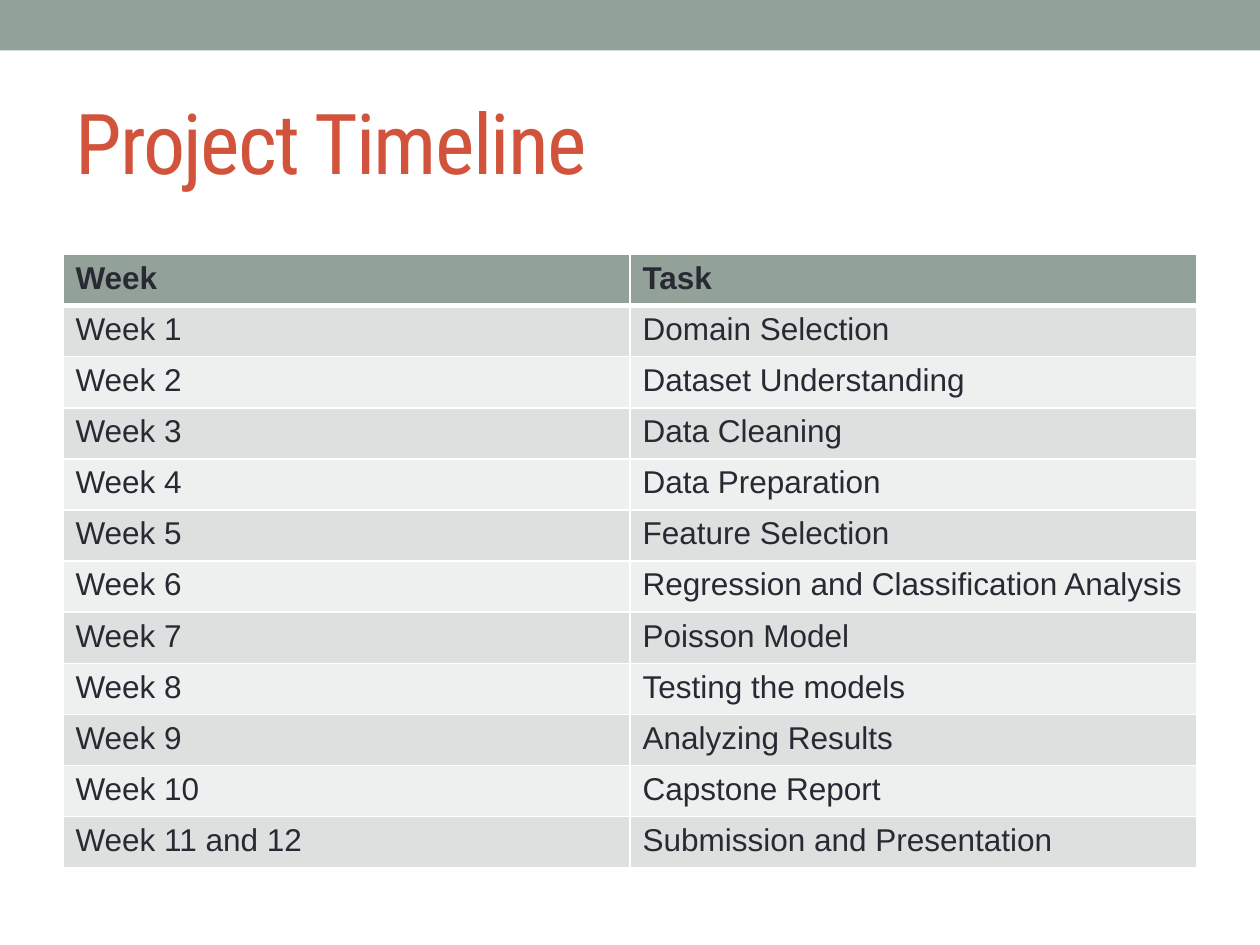
from dataclasses import dataclass

from lxml import etree
from pptx import Presentation
from pptx.dml.color import RGBColor
from pptx.enum.shapes import MSO_SHAPE
from pptx.enum.text import MSO_ANCHOR, PP_ALIGN
from pptx.oxml.ns import qn
from pptx.util import Inches, Pt

RECT = MSO_SHAPE.RECTANGLE
MIDDLE = MSO_ANCHOR.MIDDLE
LEFT = PP_ALIGN.LEFT
TITLE_ONLY = 5


@dataclass(frozen=True)
class Theme:
    """Colours, fonts and type sizes of the slide."""
    sage: str = "93A299"
    rust: str = "D2533C"
    ink: str = "292934"
    white: str = "FFFFFF"
    bands: tuple = ("DCE0DE", "EEF0EF")
    head: str = "Roboto Condensed"
    body: str = "Arial"
    big: int = 48
    text: int = 18
    thin: int = 1
    thick: int = 3


THEME = Theme()
TASKS = [
    "Domain Selection",
    "Dataset Understanding",
    "Data Cleaning",
    "Data Preparation",
    "Feature Selection",
    "Regression and Classification Analysis",
    "Poisson Model",
    "Testing the models",
    "Analyzing Results",
    "Capstone Report",
    "Submission and Presentation",
]
WEEKS = [f"Week {n}" for n in range(1, len(TASKS))] + ["Week 11 and 12"]
ROWS = [("Week", "Task"), *zip(WEEKS, TASKS)]


def style(font, face, size, color, bold=False):
    """Set the face, size, colour and weight of a font."""
    font.name = face
    font.size = Pt(size)
    font.bold = bold
    font.color.rgb = RGBColor.from_string(color)


def add_band(slide, box):
    """Draw the plain band along the top edge."""
    band = slide.shapes.add_shape(RECT, *box)
    band.shadow.inherit = False
    band.fill.solid()
    band.fill.fore_color.rgb = RGBColor.from_string(THEME.sage)
    band.line.fill.background()


def add_title(slide, box, text):
    """Place and format the title placeholder."""
    title = slide.shapes.title
    title.left, title.top, title.width, title.height = box
    frame = title.text_frame
    frame.text = text
    frame.word_wrap = True
    frame.vertical_anchor = MIDDLE
    para = frame.paragraphs[0]
    para.alignment = LEFT
    run = para.runs[0]
    style(run.font, THEME.head, THEME.big, THEME.rust)
    run.font._element.set("spc", "-100")


def add_edge(cell, side, width):
    """Add a white border to one side of a cell."""
    props = cell._tc.get_or_add_tcPr()
    line = etree.SubElement(props, qn(f"a:ln{side}"), w=str(Pt(width)))
    fill = etree.SubElement(line, qn("a:solidFill"))
    etree.SubElement(fill, qn("a:srgbClr"), val=THEME.white)


def fill_cell(cell, text, row):
    """Write and format one cell by its row number."""
    heavy = {0: "B", 1: "T"}.get(row)
    for side in "LRTB":
        add_edge(cell, side, THEME.thick if side == heavy else THEME.thin)
    color = THEME.bands[(row - 1) % 2] if row else THEME.sage
    cell.fill.solid()
    cell.fill.fore_color.rgb = RGBColor.from_string(color)
    cell.text_frame.text = text
    run = cell.text_frame.paragraphs[0].runs[0]
    style(run.font, THEME.body, THEME.text, THEME.ink, row == 0)


def add_plan(slide, box, rows):
    """Build the table of weeks and tasks."""
    table = slide.shapes.add_table(len(rows), len(rows[0]), *box).table
    for r, row in enumerate(rows):
        for c, text in enumerate(row):
            fill_cell(table.cell(r, c), text, r)


def main():
    """Build the slide and save it."""
    deck = Presentation()
    deck.slide_width, deck.slide_height = Inches(10), Inches(7.5)
    slide = deck.slides.add_slide(deck.slide_layouts[TITLE_ONLY])
    add_band(slide, (0, 0, deck.slide_width, Inches(0.4)))
    left, width = Inches(0.5), Inches(9)
    add_title(slide, (left, Inches(0.58), width, Inches(1.08)),
              "Project Timeline")
    add_plan(slide, (left, Inches(2.02), width, Inches(4.87)), ROWS)
    deck.save("out.pptx")


if __name__ == "__main__":
    main()
